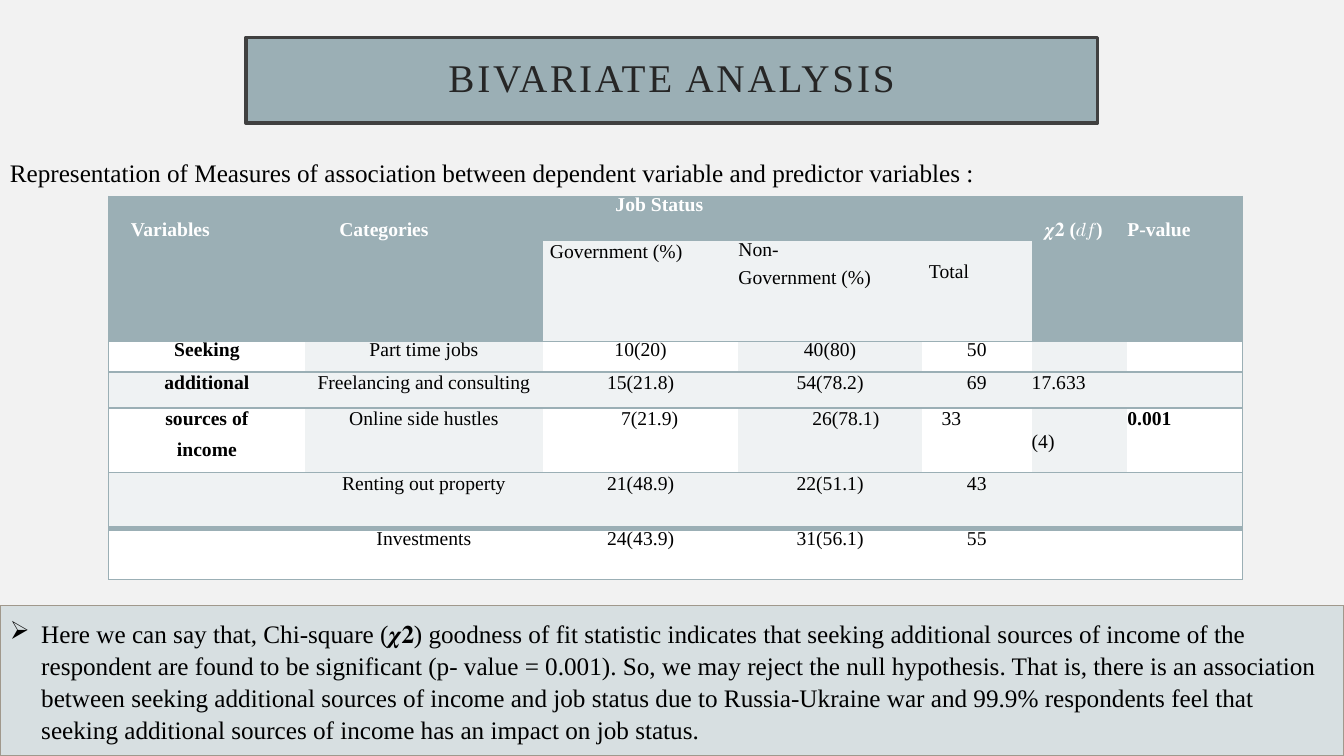
from lxml import etree
from pptx import Presentation
from pptx.dml.color import RGBColor
from pptx.enum.shapes import MSO_SHAPE
from pptx.enum.text import MSO_ANCHOR, PP_ALIGN
from pptx.oxml.ns import qn
from pptx.util import Cm, Pt

RECTANGLE = MSO_SHAPE.RECTANGLE
MIDDLE, TOP = MSO_ANCHOR.MIDDLE, MSO_ANCHOR.TOP
LEFT, CENTER = PP_ALIGN.LEFT, PP_ALIGN.CENTER
NO_TABLE_STYLE = "{2D5ABB26-0587-4C30-8999-92F81FD0307C}"
SLATE, PALE, WHITE, BLACK = "9BAFB5", "EFF2F3", "FFFFFF", "000000"

WIDTH, HEIGHT = 33.87, 19.05
COLUMNS = [4.95, 5.99, 4.93, 4.62, 2.77, 2.41, 2.9]
ROWS = [1.12, 2.54, 0.71, 0.91, 1.63, 1.4, 1.3]
# One blank line above the text of a cell
LINE_DROP = 0.57

# Header cells: row, column, lines, left margin, top margin, line heights
HEADERS = [
    (0, 0, ["Variables"], 0.56, LINE_DROP, None),
    (0, 1, ["Categories"], 0.86, LINE_DROP, None),
    (0, 2, ["Job Status"], 1.83, 0, 13.7),
    (0, 5, ["𝝌𝟐 (𝑑𝑓)"], 0.33, LINE_DROP, None),
    (0, 6, ["P-value"], 0, LINE_DROP, None),
    (1, 2, ["Government (%)"], 0.18, 0, None),
    (1, 3, ["Non-", "Government (%)"], 0, 0, 13.8),
    (1, 4, ["Total"], 0.18, 0.5, None),
]
BODY = [
    ["Seeking", "Part time jobs", "10(20)", "40(80)", "50", "", ""],
    ["additional", "Freelancing and consulting", "15(21.8)", "54(78.2)", "69", "17.633", ""],
    ["sources of\nincome", "Online side hustles", "7(21.9)", "26(78.1)", "33", "(4)", "0.001"],
    ["", "Renting out property", "21(48.9)", "22(51.1)", "43", "", ""],
    ["", "Investments", "24(43.9)", "31(56.1)", "55", "", ""],
]
# Left-aligned counts: (row, column) -> left margin
COUNT_MARGINS = {(4, 2): 1.97, (4, 3): 1.86, (4, 4): 0.5}
CONCLUSION = (
    "Here we can say that, Chi-square (𝝌𝟐) goodness of fit statistic indicates that "
    "seeking additional sources of income of the respondent are found to be significant "
    "(p- value = 0.001). So, we may reject the null hypothesis. That is, there is an "
    "association between seeking additional sources of income and job status due to "
    "Russia-Ukraine war and 99.9% respondents feel that seeking additional sources of "
    "income has an impact on job status."
)


def color(value):
    return RGBColor.from_string(value)


class SlideBuilder:
    font = "Times New Roman"

    def __init__(self, deck, background):
        self.page = deck.slides.add_slide(deck.slide_layouts[6])
        fill = self.page.background.fill
        fill.solid()
        fill.fore_color.rgb = color(background)

    def span(self, para, text, size, ink=BLACK, bold=False, spacing=0):
        span = para.add_run()
        span.text = text
        span.font.name = self.font
        span.font.size = Pt(size)
        span.font.bold = bold
        span.font.color.rgb = color(ink)
        if spacing:
            span.font._element.set("spc", str(spacing * 100))

    def text(self, left, top, width, height, text, size):
        box = self.page.shapes.add_textbox(Cm(left), Cm(top), Cm(width), Cm(height))
        box.text_frame.word_wrap = True
        self.span(box.text_frame.paragraphs[0], text, size)

    def panel(self, left, top, width, height, fill, line, weight, align):
        """Draw a filled rectangle and return its first paragraph."""
        box = self.page.shapes.add_shape(
            RECTANGLE, Cm(left), Cm(top), Cm(width), Cm(height))
        box.shadow.inherit = False
        box.fill.solid()
        box.fill.fore_color.rgb = color(fill)
        box.line.color.rgb = color(line)
        box.line.width = Pt(weight)
        box.text_frame.word_wrap = True
        box.text_frame.vertical_anchor = MIDDLE
        para = box.text_frame.paragraphs[0]
        para.alignment = align
        return para

    def bullet(self, para, mark, indent):
        props = para._p.get_or_add_pPr()
        props.set("marL", str(Cm(indent)))
        props.set("indent", str(-Cm(indent)))
        etree.SubElement(props, qn("a:buChar")).set("char", mark)

    def table(self, left, top, columns, rows):
        frame = self.page.shapes.add_table(
            len(rows), len(columns), Cm(left), Cm(top), Cm(sum(columns)), Cm(sum(rows)))
        table = frame.table
        table.first_row = table.horz_banding = False
        table._tbl.tblPr.find(qn("a:tableStyleId")).text = NO_TABLE_STYLE
        for column, width in zip(table.columns, columns):
            column.width = Cm(width)
        for row, height in zip(table.rows, rows):
            row.height = Cm(height)
        return table

    def cell_style(self, cell, fill, borders):
        """Borders map the sides L, R, T and B, in that order, to widths in points."""
        props = cell._tc.get_or_add_tcPr()
        for side, weight in borders.items():
            line = etree.SubElement(props, qn("a:ln" + side), w=str(Pt(weight)))
            paint = etree.SubElement(line, qn("a:solidFill"))
            etree.SubElement(paint, qn("a:srgbClr"), val=SLATE)
        cell.fill.solid()
        cell.fill.fore_color.rgb = color(fill)
        cell.margin_left = cell.margin_right = cell.margin_top = cell.margin_bottom = 0
        cell.vertical_anchor = TOP

    def cell_text(self, cell, lines, ink=BLACK, bold=False, align=LEFT,
                  left=0, top=0, spacing=None, gap=0):
        cell.margin_left, cell.margin_top = Cm(left), Cm(top)
        frame = cell.text_frame
        for index, line in enumerate(lines):
            para = frame.add_paragraph() if index else frame.paragraphs[0]
            para.alignment = align
            if spacing:
                para.line_spacing = Pt(20.5 if index else spacing)
            if index and gap:
                para.space_before = Pt(gap)
            if line:
                self.span(para, line, 14, ink, bold)


def body_fill(row, column):
    if row == len(ROWS) - 1:
        return WHITE
    return PALE if row % 2 or column % 2 else WHITE


def borders(row, column):
    last_row, last_column = len(ROWS) - 1, len(COLUMNS) - 1
    sides = {}
    if column == 0:
        sides["L"] = 1
    if column == last_column:
        sides["R"] = 1
    if row != 1:
        sides["T"] = 4 if row == last_row else 1
    if row != 0:
        sides["B"] = 4 if row == last_row - 1 else 1
    return sides


def add_results(builder):
    table = builder.table(2.74, 4.95, COLUMNS, ROWS)
    for row in range(len(ROWS)):
        for column in range(len(COLUMNS)):
            if row > 1:
                fill = body_fill(row, column)
            else:
                fill = PALE if row == 1 and 2 <= column <= 4 else SLATE
            builder.cell_style(table.cell(row, column), fill, borders(row, column))

    # Header
    for column in (0, 1, 5, 6):
        table.cell(0, column).merge(table.cell(1, column))
    table.cell(0, 2).merge(table.cell(0, 4))
    for row, column, lines, left, top, spacing in HEADERS:
        builder.cell_text(table.cell(row, column), lines, BLACK if row else WHITE,
                          row == 0, LEFT, left, top, spacing)

    # Body
    for row, values in enumerate(BODY, start=2):
        for column, value in enumerate(values):
            left = COUNT_MARGINS.get((row, column), 0)
            builder.cell_text(
                table.cell(row, column), value.split("\n"),
                bold=column in (0, 6),
                align=LEFT if left or column > 4 else CENTER,
                left=left, top=LINE_DROP if value == "(4)" else 0,
                spacing=13.8 if row == 2 or not value else None, gap=6.8)


def main():
    deck = Presentation()
    deck.slide_width, deck.slide_height = Cm(WIDTH), Cm(HEIGHT)
    builder = SlideBuilder(deck, "F2F2F2")

    # Title and introduction
    title = builder.panel(6.2, 0.94, 21.46, 2.16, SLATE, "404040", 2.5, CENTER)
    title.line_spacing = 0.9
    builder.span(title, "BIVARIATE ANALYSIS", 28, "262626", spacing=2)
    builder.text(0, 3.83, WIDTH, 1.1, "Representation of Measures of association between "
                 "dependent variable and predictor variables :", 18)

    # Table of associations
    add_results(builder)

    # Conclusion
    conclusion = builder.panel(0, 15.26, WIDTH, 3.79, "D7DFE1", "A0988C", 1, LEFT)
    conclusion.line_spacing = 1.05
    builder.bullet(conclusion, "➢", 0.79)
    builder.span(conclusion, CONCLUSION, 18)

    deck.save("out.pptx")


if __name__ == "__main__":
    main()
